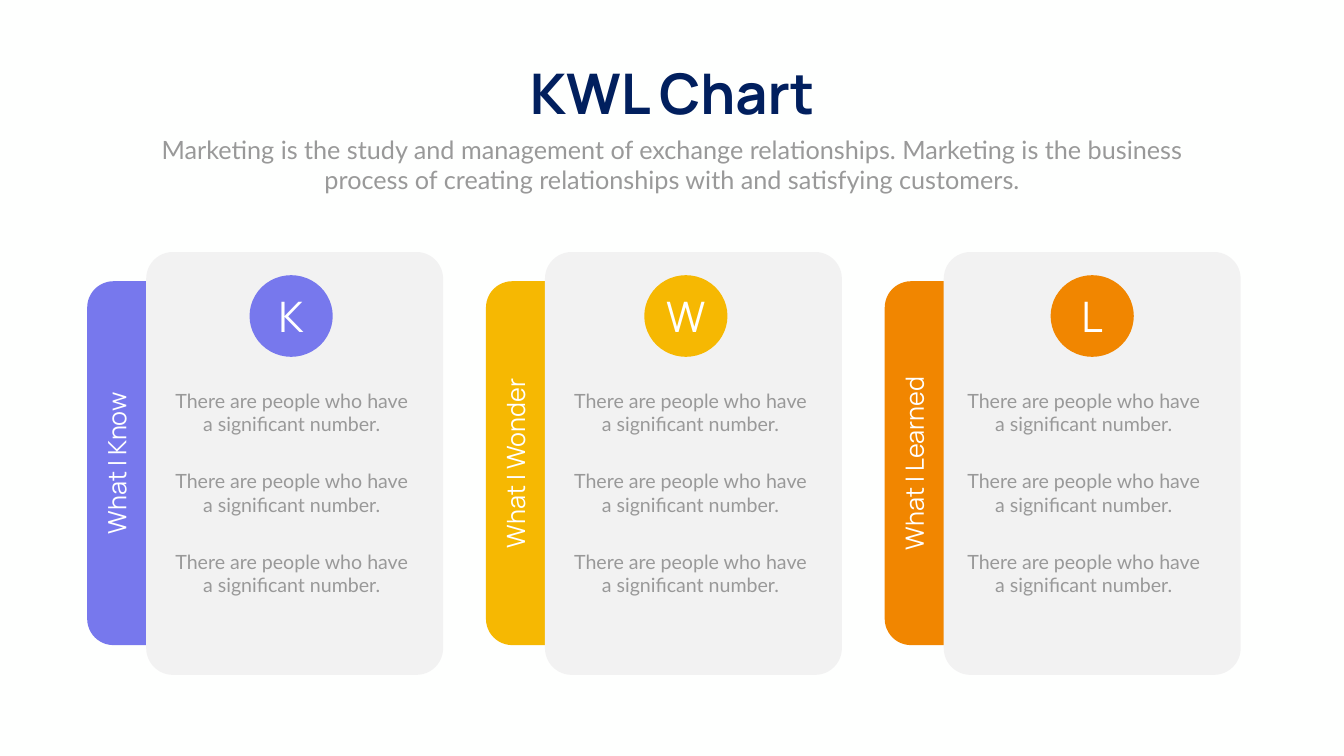
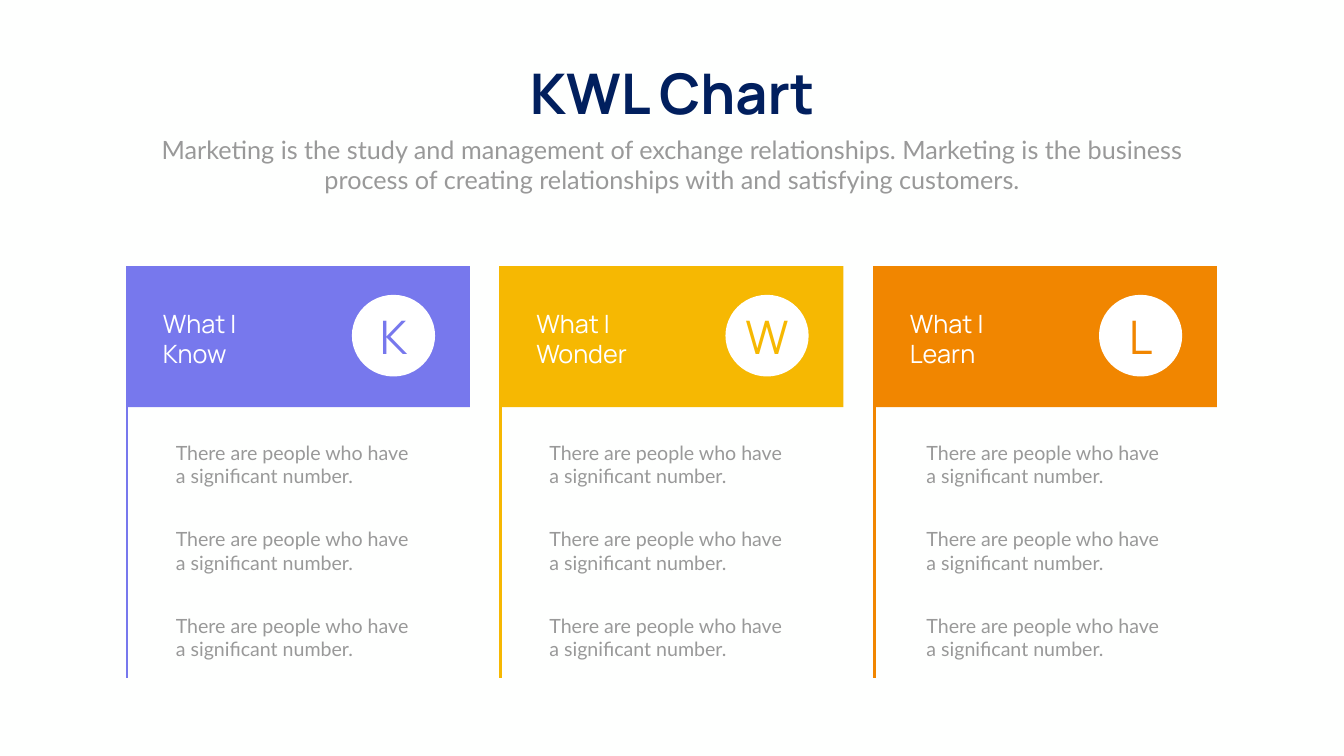
from dataclasses import dataclass

from lxml import etree
from pptx import Presentation
from pptx.dml.color import RGBColor
from pptx.enum.shapes import MSO_CONNECTOR, MSO_SHAPE
from pptx.enum.text import MSO_ANCHOR, MSO_AUTO_SIZE, PP_ALIGN
from pptx.oxml.ns import qn
from pptx.util import Inches, Pt

PAPER = RGBColor(0xFE, 0xFF, 0xFE)
WHITE = RGBColor(0xFF, 0xFF, 0xFF)
NAVY = RGBColor(0x01, 0x1F, 0x5E)
GREY = RGBColor(0x99, 0x99, 0x99)
PANEL = RGBColor(0xF2, 0xF2, 0xF2)
VIOLET = RGBColor(0x77, 0x78, 0xED)
YELLOW = RGBColor(0xF6, 0xB8, 0x02)
ORANGE = RGBColor(0xF1, 0x86, 0x00)

HEADING_FONT = "Manrope"
BODY_FONT = "Lato"
TITLE = "KWL Chart"
SUBTITLE = (
    "Marketing is the study and management of exchange relationships. "
    "Marketing is the business process of creating relationships with "
    "and satisfying customers."
)
NOTE = "There are people who have a significant number."
NOTE_COUNT = 3


@dataclass
class Column:
    """One KWL column; shifts are measured from the column's left edge."""

    letter: str
    label: str
    color: RGBColor
    circle_shift: float
    note_shift: float
    label_width: float


TAB_COLUMNS = [
    Column("K", "What I Know", VIOLET, 3.22, 1.55, 4.44),
    Column("W", "What I Wonder", YELLOW, 3.14, 1.55, 4.44),
    Column("L", "What I Learned", ORANGE, 3.29, 1.44, 4.44),
]
BANNER_COLUMNS = [
    Column("K", "What I Know", VIOLET, 4.46, 0.87, 2.19),
    Column("W", "What I Wonder", YELLOW, 4.46, 0.87, 2.55),
    Column("L", "What I Learn", ORANGE, 4.46, 0.94, 2.19),
]


def write(frame, text, size, color, font=HEADING_FONT, align=PP_ALIGN.CENTER, bold=False):
    """Put one formatted paragraph into a text frame."""
    frame.text = text
    para = frame.paragraphs[0]
    para.alignment = align
    para.font.name = font
    para.font.size = Pt(size)
    para.font.bold = bold
    para.font.color.rgb = color


def add_text(page, box, text, size, color, **style):
    """Add a wrapping text box that grows with its text."""
    text_box = page.shapes.add_textbox(*map(Inches, box))
    frame = text_box.text_frame
    frame.word_wrap = True
    frame.auto_size = MSO_AUTO_SIZE.SHAPE_TO_FIT_TEXT
    write(frame, text, size, color, **style)
    return text_box


def add_block(page, kind, box, color, corner=None):
    """Add a flat filled shape without outline or shadow."""
    block = page.shapes.add_shape(kind, *map(Inches, box))
    block.shadow.inherit = False
    block.fill.solid()
    block.fill.fore_color.rgb = color
    block.line.fill.background()
    if corner is not None:
        block.adjustments[0] = corner
    return block


def add_rule(page, left, top, height, color):
    """Draw the vertical line that edges a column."""
    rule = page.shapes.add_connector(
        MSO_CONNECTOR.STRAIGHT, Inches(left), Inches(top), Inches(left), Inches(top + height)
    )
    rule.line.color.rgb = color
    rule.line.width = Pt(4)
    etree.SubElement(rule._element.spPr, qn("a:effectLst"))


def add_notes(page, left, top, width, pitch, align):
    """Stack the column's notes at an equal pitch."""
    for row in range(NOTE_COUNT):
        box = (left, top + row * pitch, width, 1.04)
        add_text(page, box, NOTE, 28, GREY, font=BODY_FONT, align=align)


def add_tab_column(page, left, top, column):
    """Build a rounded panel with a coloured side tab."""
    rounded = MSO_SHAPE.ROUNDED_RECTANGLE
    add_block(page, rounded, (left, top + 0.58, 1.93, 7.22), column.color, 0.27)
    add_block(page, rounded, (left + 1.17, top, 5.89, 8.39), PANEL, 0.09)
    label_box = (left - 1.64, top + 3.84, column.label_width, 0.71)
    add_text(page, label_box, column.label, 36, WHITE).rotation = 270
    circle_box = (left + column.circle_shift, top + 0.46, 1.65, 1.62)
    circle = add_block(page, MSO_SHAPE.OVAL, circle_box, column.color)
    circle.text_frame.vertical_anchor = MSO_ANCHOR.MIDDLE
    write(circle.text_frame, column.letter, 60, WHITE)
    add_notes(page, left + column.note_shift, top + 2.66, 5.01, 1.6, PP_ALIGN.CENTER)


def add_banner_column(page, left, top, column):
    """Build a coloured banner with a rule running down its left edge."""
    add_block(page, MSO_SHAPE.RECTANGLE, (left, top, 6.8, 2.8), column.color)
    add_rule(page, left, top, 8.18, column.color)
    circle_left = left + column.circle_shift
    add_block(page, MSO_SHAPE.OVAL, (circle_left, top + 0.57, 1.65, 1.62), WHITE)
    add_text(page, (circle_left, top + 0.79, 1.65, 1.21), column.letter, 66, column.color)
    label_box = (left + 0.61, top + 0.79, column.label_width, 1.31)
    add_text(page, label_box, column.label, 36, WHITE, align=PP_ALIGN.LEFT)
    add_notes(page, left + column.note_shift, top + 3.41, 5.06, 1.72, PP_ALIGN.LEFT)


def add_header(page):
    """Format the title placeholder and add the subtitle."""
    title = page.shapes.title
    title.left, title.top, title.width, title.height = map(Inches, (10.21, 1.12, 6.25, 1.45))
    frame = title.text_frame
    frame.word_wrap = False
    frame.auto_size = MSO_AUTO_SIZE.SHAPE_TO_FIT_TEXT
    frame.vertical_anchor = MSO_ANCHOR.TOP
    write(frame, TITLE, 80, NAVY, bold=True)
    add_text(page, (2.92, 2.61, 20.82, 1.31), SUBTITLE, 36, GREY, font=BODY_FONT)


def add_page(deck, columns, add_column, left, top, pitch):
    """Add a titled slide with its columns spaced at an equal pitch."""
    page = deck.slides.add_slide(deck.slide_layouts.get_by_name("Title Only"))
    add_header(page)
    for index, column in enumerate(columns):
        add_column(page, left + index * pitch, top, column)


def main():
    """Build and save the deck."""
    deck = Presentation()
    deck.slide_width = Inches(26.66)
    deck.slide_height = Inches(15)
    backdrop = deck.slide_master.background.fill
    backdrop.solid()
    backdrop.fore_color.rgb = PAPER
    add_page(deck, TAB_COLUMNS, add_tab_column, 1.73, 5, 7.91)
    add_page(deck, BANNER_COLUMNS, add_banner_column, 2.52, 5.28, 7.41)
    deck.save("out.pptx")


if __name__ == "__main__":
    main()
